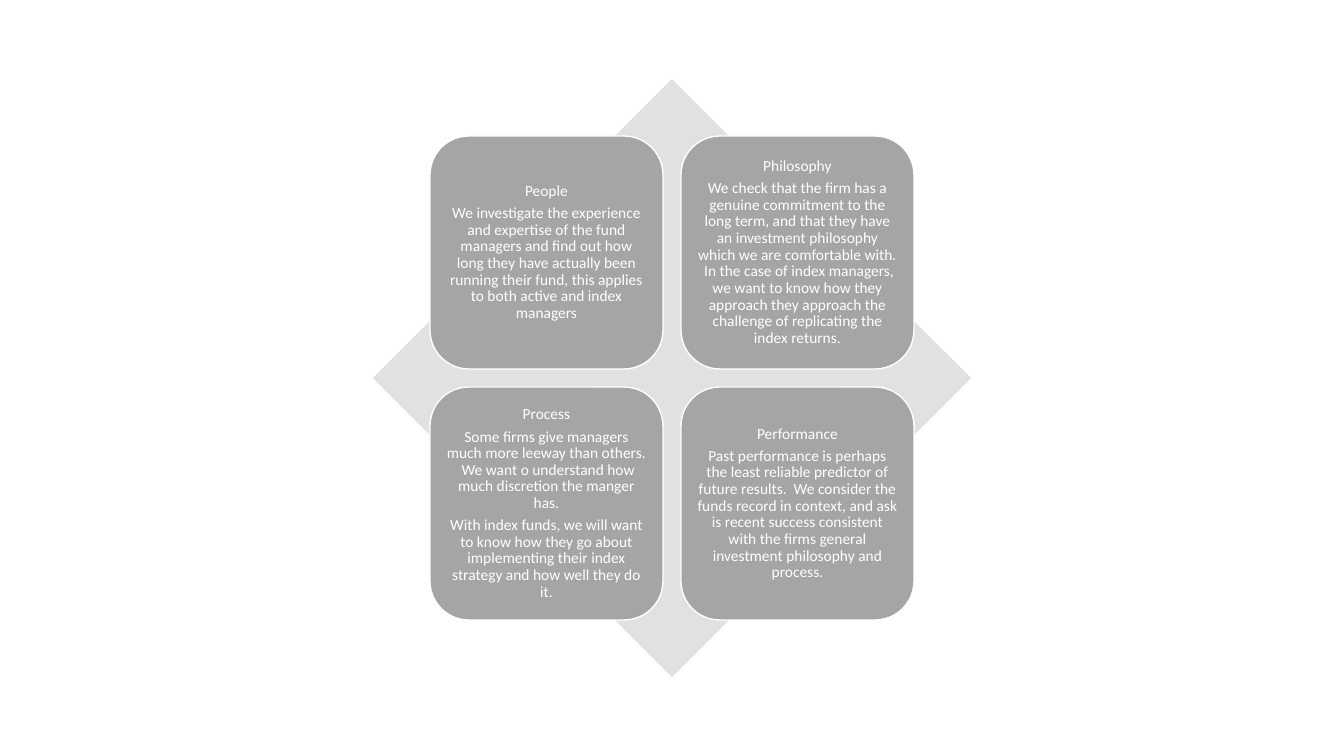
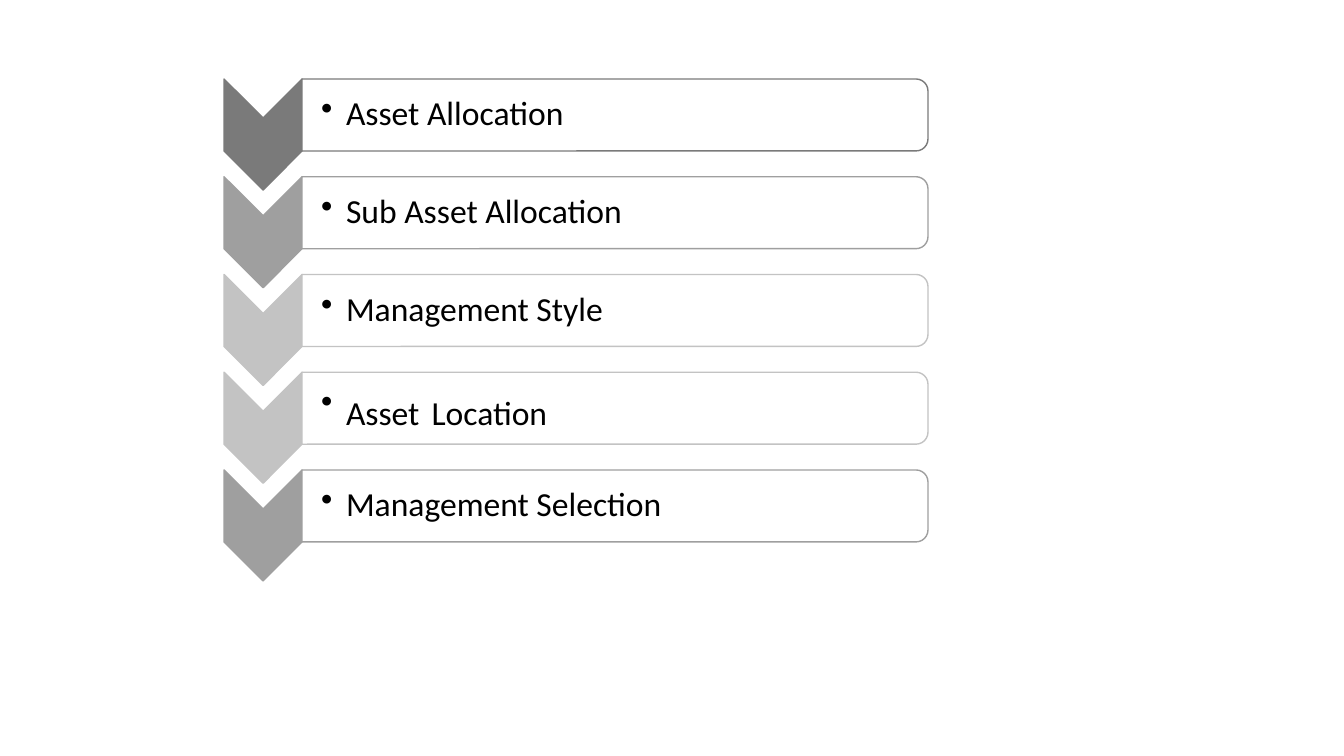
from dataclasses import dataclass
from pptx import Presentation
from pptx.dml.color import RGBColor as RGB
from pptx.enum.shapes import MSO_SHAPE as Kind
from pptx.enum.text import MSO_ANCHOR as Anchor, PP_ALIGN as Align
from pptx.oxml.ns import qn
from pptx.util import Pt
from lxml.etree import SubElement


@dataclass
class Theme:
    font: str = "Calibri"
    white: str = "FFFFFF"
    black: str = "000000"
    pale: str = "E1E1E1"
    card: str = "A5A5A5"
    dark: str = "7A7A7A"
    mid: str = "9F9F9F"
    light: str = "C3C3C3"
    small: int = 11
    large: int = 24
    gap: int = 38


theme = Theme()
PX = 914400 / 100.8


def draw(slide, kind, box, fill, line=None, turn=False):
    """Draw a shape that covers box; turn rotates it by 90 degrees."""
    x, y, w, h = box
    if turn:
        x, y, w, h = x + (w - h) / 2, y + (h - w) / 2, h, w
    shape = slide.shapes.add_shape(kind, *[round(v * PX) for v in (x, y, w, h)])
    shape.rotation = 90 if turn else 0
    shape.shadow.inherit = False
    shape.fill.solid()
    shape.fill.fore_color.rgb = RGB.from_string(fill)
    if line:
        shape.line.color.rgb = RGB.from_string(line)
        shape.line.width = Pt(1)
    else:
        shape.line.fill.background()
    return shape


def style(frame, pads, size, color, after):
    """Set the margins of a text frame and the look of its paragraphs."""
    frame.word_wrap = True
    frame.vertical_anchor = Anchor.MIDDLE
    (frame.margin_left, frame.margin_top,
     frame.margin_right, frame.margin_bottom) = [round(v * PX) for v in pads]
    for para in frame.paragraphs:
        para.line_spacing = 0.9
        para.space_after = Pt(after)
        para.font.name = theme.font
        para.font.size = Pt(size)
        para.font.color.rgb = RGB.from_string(color)


deck = Presentation()
deck.slide_width, deck.slide_height = round(1344 * PX), round(756 * PX)
blank = deck.slide_layouts[6]

# Slide 1: four cards on a diamond
slide = deck.slides.add_slide(blank)
draw(slide, Kind.DIAMOND, (373, 79, 598, 598), theme.pale)

cards = [
    ["People",
     "We investigate the experience and expertise of the fund managers and "
     "find out how long they have actually been running their fund, this "
     "applies to both active and index managers"],
    ["Philosophy",
     "We check that the firm has a genuine commitment to the long term, and "
     "that they have an investment philosophy which we are comfortable with.  "
     "In the case of index managers, we want to know how they approach they "
     "approach the challenge of replicating the index returns."],
    ["Process",
     "Some firms give managers much more leeway than others.  We want o "
     "understand how much discretion the manger has.",
     "With index funds, we will want to know how they go about implementing "
     "their index strategy and how well they do it."],
    ["Performance",
     "Past performance is perhaps the least reliable predictor of future "
     "results.  We consider the funds record in context, and ask is recent "
     "success consistent with the firms general investment philosophy and "
     "process."],
]
side, pitch = 233, 251
for i, texts in enumerate(cards):
    row, col = divmod(i, 2)
    box = (430 + col * pitch, 136 + row * pitch, side, side)
    card = draw(slide, Kind.ROUNDED_RECTANGLE, box, theme.card, theme.white)
    frame = card.text_frame
    frame.text = "\n".join(texts)
    style(frame, (5, 5, 5, 5), theme.small, theme.white, 3.85)
    for para in frame.paragraphs:
        para.alignment = Align.CENTER

# Slide 2: chevron list
slide = deck.slides.add_slide(blank)
steps = [
    (["Asset Allocation"], theme.dark),
    (["Sub Asset Allocation"], theme.mid),
    (["Management Style"], theme.light),
    (["Asset", " ", "Location"], theme.light),
    (["Management Selection"], theme.mid),
]
pitch = 391 / 4
indent = round(25 * PX)
for i, (words, tone) in enumerate(steps):
    top = 79 + i * pitch
    draw(slide, Kind.CHEVRON, (224, top, 78, 111), tone, tone, turn=True)
    draw(slide, Kind.ROUND_2_SAME_RECTANGLE, (302, top, 626, 72),
         theme.white, tone, turn=True)

    # Bulleted label
    box = (302, top + 4, 623, 64)
    label = slide.shapes.add_textbox(*[round(v * PX) for v in box])
    frame = label.text_frame
    para = frame.paragraphs[0]
    for word in words:
        run = para.add_run()
        run.text = word
        if word == " ":
            run.font.size = Pt(theme.gap)
    style(frame, (19, 2, 2, 2), theme.large, theme.black, 3.6)
    props = para._p.get_or_add_pPr()
    props.set("marL", str(indent))
    props.set("indent", str(-indent))
    bullet = SubElement(props, qn("a:buChar"), char="•")
    props.find(qn("a:defRPr")).addprevious(bullet)

deck.save("out.pptx")
